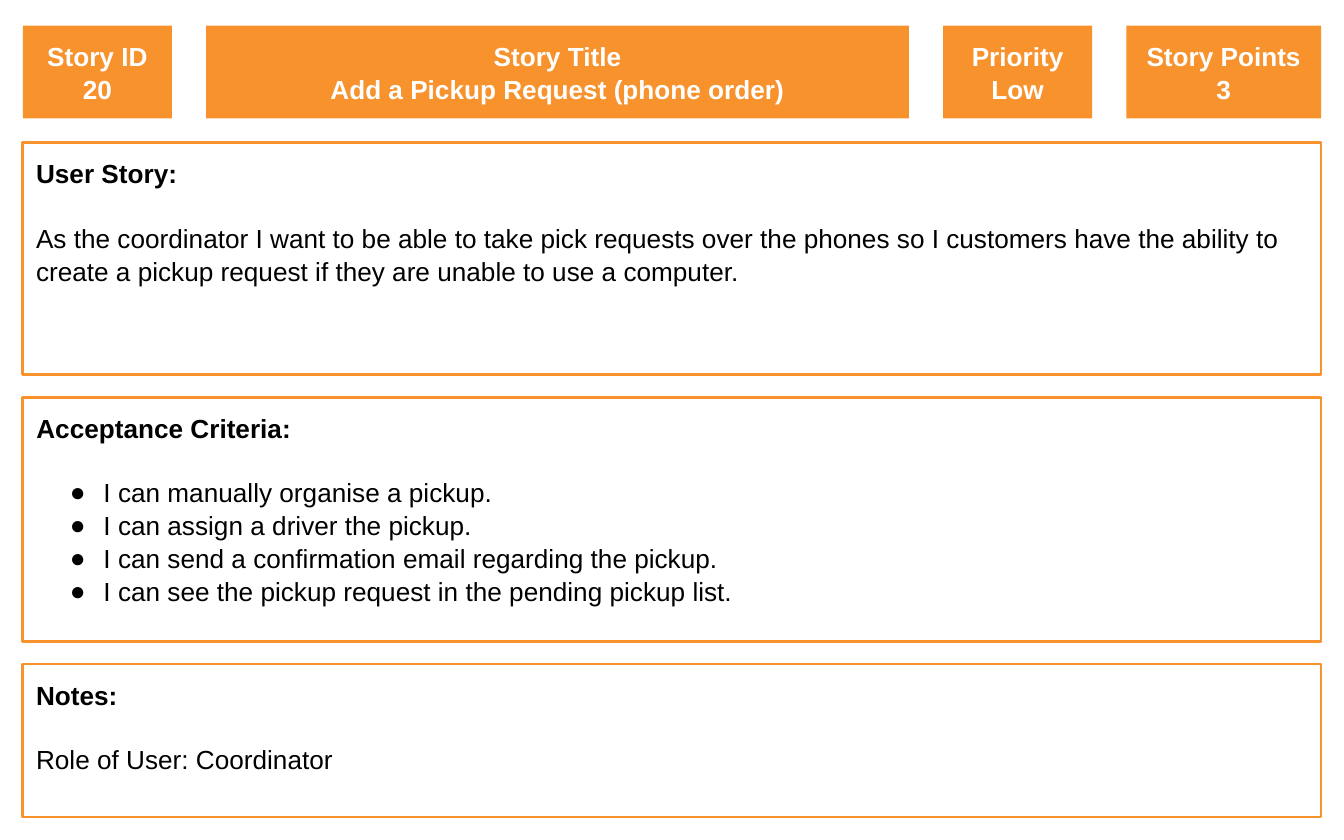
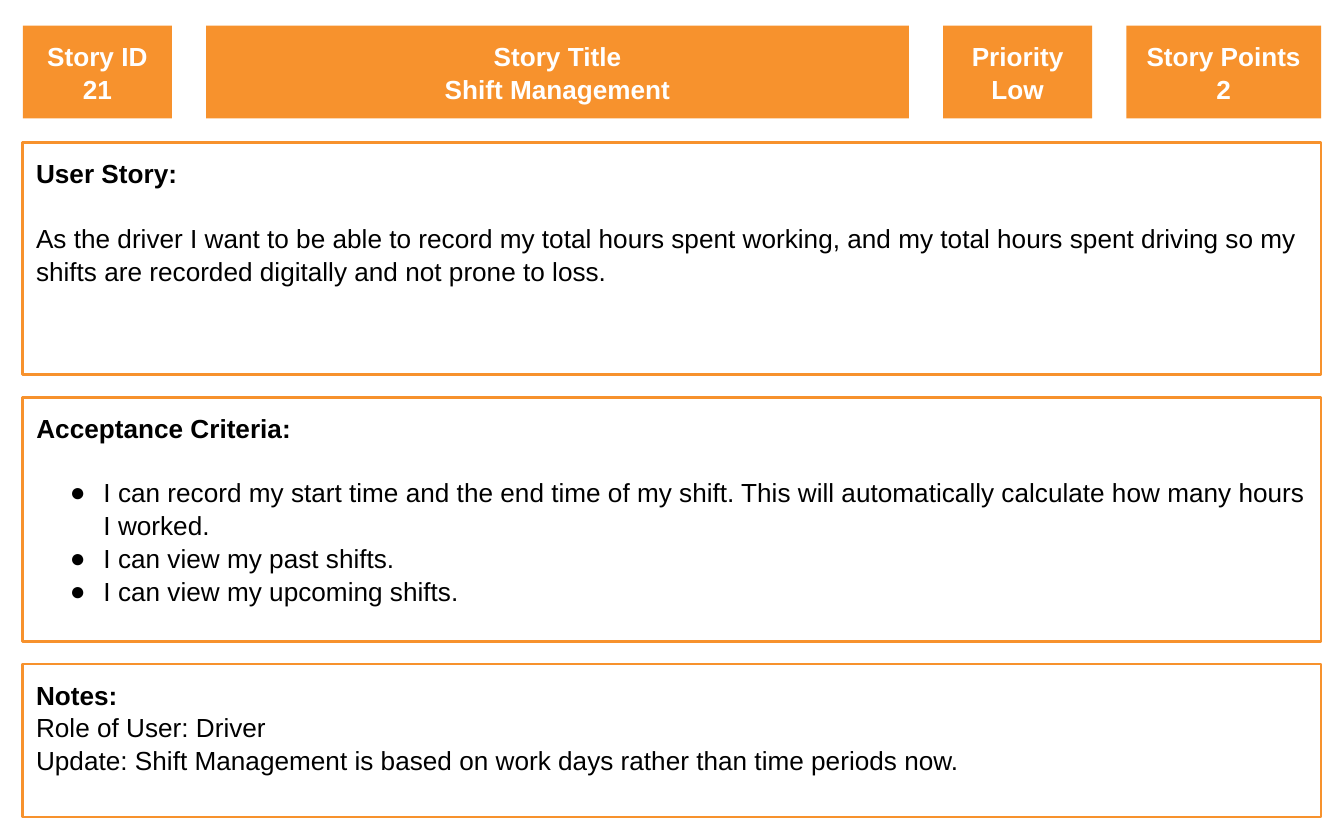
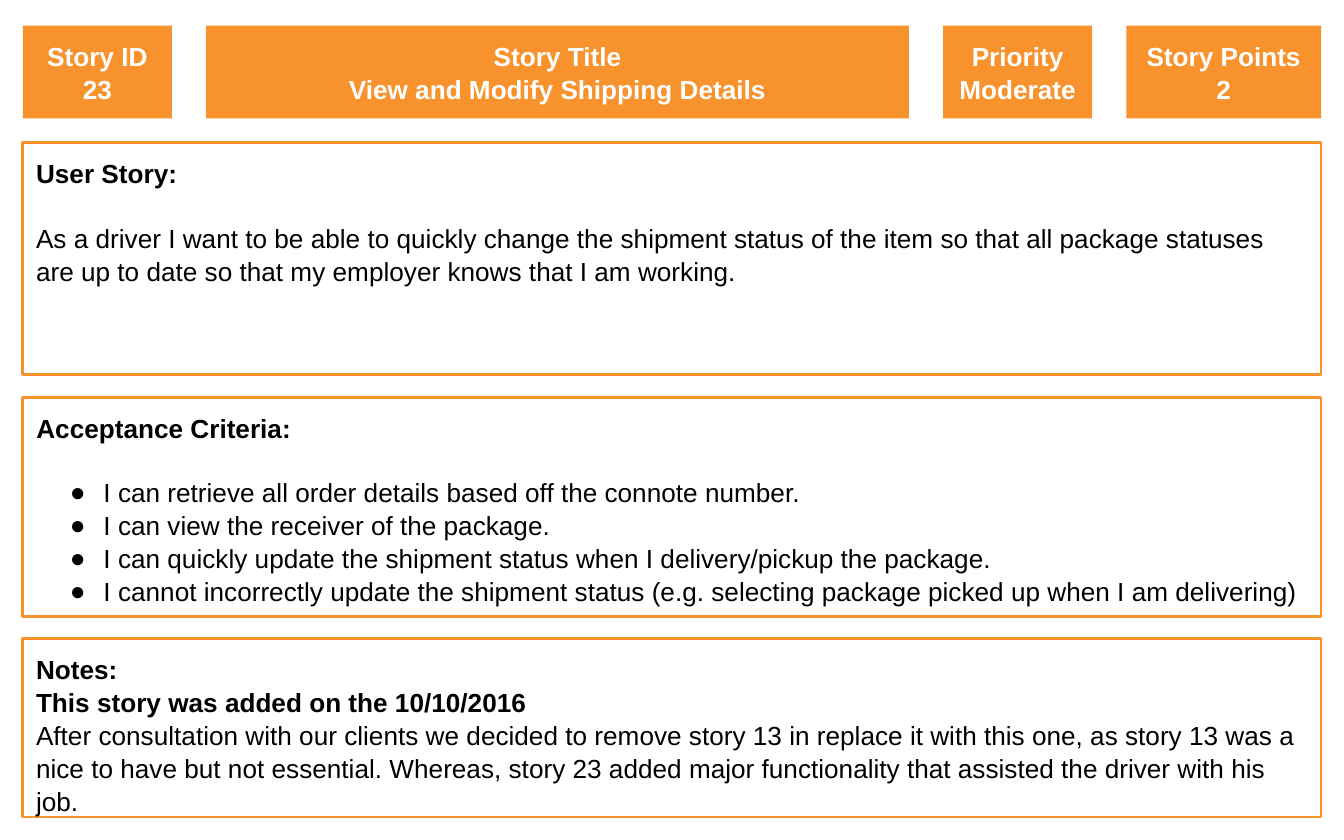
"""Builds user story cards, one slide for each story."""
import pptx
import pptx.dml.color
import pptx.enum.shapes
import pptx.enum.text
import pptx.oxml.ns
import pptx.util
from lxml import etree

ORANGE = pptx.dml.color.RGBColor(0xF7, 0x92, 0x2D)
WHITE = pptx.dml.color.RGBColor(0xFF, 0xFF, 0xFF)
BLACK = pptx.dml.color.RGBColor(0x00, 0x00, 0x00)

COLUMNS = 100
MARGIN = 1.7
CONTENT_WIDTH = COLUMNS - 2 * MARGIN
HEADER_TOP, HEADER_HEIGHT = 1.9, 6.9
HEADER_WIDTHS = {"Story ID": 11.1, "Story Title": 52.3, "Priority": 11.1, "Story Points": 14.5}
HEADER_GAP = (CONTENT_WIDTH - sum(HEADER_WIDTHS.values())) / (len(HEADER_WIDTHS) - 1)
STORY_TOP, STORY_HEIGHT = 10.6, 17.3
PANEL_GAP = 1.65
PANELS_BOTTOM = 60.8

STORIES = [
    {
        "header": ["20", "Add a Pickup Request (phone order)", "Low", "3"],
        "story": "As the coordinator I want to be able to take pick requests over the phones "
                 "so I customers have the ability to create a pickup request if they are "
                 "unable to use a computer.",
        "criteria": [
            "I can manually organise a pickup.",
            "I can assign a driver the pickup.",
            "I can send a confirmation email regarding the pickup.",
            "I can see the pickup request in the pending pickup list.",
        ],
        "criteria_height": 18.2,
        "notes": ["Role of User: Coordinator"],
        "notes_spaced": True,
    },
    {
        "header": ["21", "Shift Management", "Low", "2"],
        "story": "As the driver I want to be able to record my total hours spent working, and "
                 "my total hours spent driving so my shifts are recorded digitally and not "
                 "prone to loss.",
        "criteria": [
            "I can record my start time and the end time of my shift. This will automatically "
            "calculate how many hours I worked.",
            "I can view my past shifts.",
            "I can view my upcoming shifts.",
        ],
        "criteria_height": 18.2,
        "notes": [
            "Role of User: Driver",
            "Update: Shift Management is based on work days rather than time periods now.",
        ],
    },
    {
        "header": ["23", "View and Modify Shipping Details", "Moderate", "2"],
        "story": "As a driver I want to be able to quickly change the shipment status of the "
                 "item so that all package statuses are up to date so that my employer knows "
                 "that I am working.",
        "criteria": [
            "I can retrieve all order details based off the connote number.",
            "I can view the receiver of the package.",
            "I can quickly update the shipment status when I delivery/pickup the package.",
            "I cannot incorrectly update the shipment status (e.g. selecting package picked up "
            "when I am delivering)",
        ],
        "criteria_height": 16.3,
        "notes_headings": ["This story was added on the 10/10/2016"],
        "notes": [
            "After consultation with our clients we decided to remove story 13 in replace it "
            "with this one, as story 13 was a nice to have but not essential. Whereas, story 23 "
            "added major functionality that assisted the driver with his job.",
        ],
    },
]


class StoryCard:
    """Holds the card style and the slide being filled."""

    font_name = "Arial"
    font_size = pptx.util.Pt(14)
    line_spacing = 1.05
    blank_line = pptx.util.Pt(17)
    inset = pptx.util.Inches(0.1)
    bullet_margin = pptx.util.Inches(0.5)
    bullet_hang = pptx.util.Inches(0.25)

    def __init__(self, deck):
        self.deck = deck
        self.cell = deck.slide_width / COLUMNS
        self.slide = None

    def start(self):
        """Opens a new slide with a title and a body."""
        self.slide = self.deck.slides.add_slide(self.deck.slide_layouts[1])

    def box(self, left, top, width, height, fill, placeholder=None):
        """Places a filled rectangle, or a placeholder, on the grid."""
        place = [round(length * self.cell) for length in (left, top, width, height)]
        if placeholder is None:
            box = self.slide.shapes.add_shape(
                pptx.enum.shapes.MSO_SHAPE.RECTANGLE, *place)
            box.shadow.inherit = False
        else:
            box = self.slide.placeholders[placeholder]
            box.left, box.top, box.width, box.height = place
        box.fill.solid()
        box.fill.fore_color.rgb = fill
        frame = box.text_frame
        frame.word_wrap = True
        frame.auto_size = pptx.enum.text.MSO_AUTO_SIZE.NONE
        frame.margin_left = frame.margin_right = self.inset
        frame.margin_top = frame.margin_bottom = self.inset
        return box

    def add_lines(self, frame, lines, color, align, bold=False, bullet=False, spaced=False):
        """Adds lines to a frame, after a line's gap where spaced."""
        for number, line in enumerate(lines):
            paragraph = frame.paragraphs[0] if not frame.text else frame.add_paragraph()
            paragraph.text = line
            self.mark(paragraph, bullet)
            paragraph.alignment = align
            paragraph.line_spacing = self.line_spacing
            paragraph.space_before = self.blank_line if spaced and number == 0 else 0
            paragraph.font.name = self.font_name
            paragraph.font.size = self.font_size
            paragraph.font.bold = bold
            paragraph.font.color.rgb = color

    def mark(self, paragraph, bullet):
        """Gives a paragraph a hanging bullet, or none."""
        qn = pptx.oxml.ns.qn
        properties = paragraph._p.get_or_add_pPr()
        properties.set("marL", str(self.bullet_margin if bullet else 0))
        properties.set("indent", str(-self.bullet_hang if bullet else 0))
        if bullet:
            bullet_color = etree.SubElement(properties, qn("a:buClr"))
            etree.SubElement(bullet_color, qn("a:srgbClr"), val=str(BLACK))
            etree.SubElement(properties, qn("a:buFont"), typeface=self.font_name)
            etree.SubElement(properties, qn("a:buChar"), char="●")
        else:
            etree.SubElement(properties, qn("a:buNone"))

    def header(self, values):
        """Draws the row of labelled values."""
        left = MARGIN
        for (label, width), value in zip(HEADER_WIDTHS.items(), values):
            placeholder = 0 if label == "Story Title" else None
            box = self.box(left, HEADER_TOP, width, HEADER_HEIGHT, ORANGE, placeholder)
            box.line.fill.background()
            box.text_frame.vertical_anchor = pptx.enum.text.MSO_ANCHOR.MIDDLE
            self.add_lines(box.text_frame, [label, value], WHITE,
                           pptx.enum.text.PP_ALIGN.CENTER, bold=True)
            left += width + HEADER_GAP

    def panel(self, top, height, headings, lines, bullet=False, spaced=True, placeholder=None):
        """Draws an outlined panel of bold headings over plain lines."""
        box = self.box(MARGIN, top, CONTENT_WIDTH, height, WHITE, placeholder)
        box.line.color.rgb = ORANGE
        box.line.width = pptx.util.Pt(1.5)
        box.text_frame.vertical_anchor = pptx.enum.text.MSO_ANCHOR.TOP
        left = pptx.enum.text.PP_ALIGN.LEFT
        self.add_lines(box.text_frame, headings, BLACK, left, bold=True)
        self.add_lines(box.text_frame, lines, BLACK, left, bullet=bullet, spaced=spaced)


def main():
    """Builds and saves the deck."""
    deck = pptx.Presentation()
    deck.slide_width = pptx.util.Inches(10)
    deck.slide_height = pptx.util.Inches(6.25)
    card = StoryCard(deck)
    criteria_top = STORY_TOP + STORY_HEIGHT + PANEL_GAP
    for story in STORIES:
        notes_top = criteria_top + story["criteria_height"] + PANEL_GAP
        card.start()
        card.header(story["header"])
        card.panel(STORY_TOP, STORY_HEIGHT, ["User Story:"], [story["story"]])
        card.panel(criteria_top, story["criteria_height"], ["Acceptance Criteria:"],
                   story["criteria"], bullet=True, placeholder=1)
        card.panel(notes_top, PANELS_BOTTOM - notes_top,
                   ["Notes:"] + story.get("notes_headings", []), story["notes"],
                   spaced=story.get("notes_spaced", False))
    deck.save("out.pptx")


if __name__ == "__main__":
    main()
